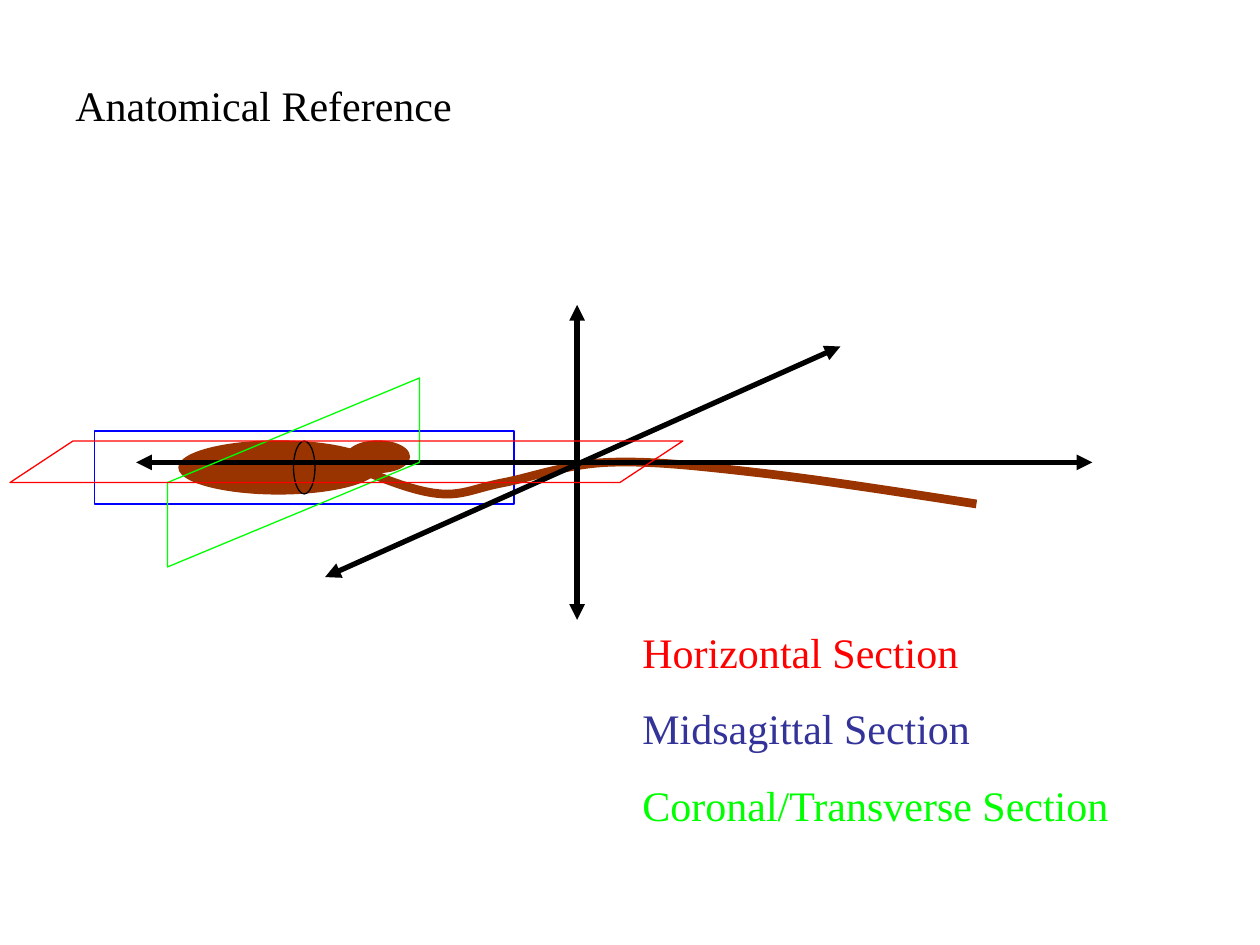
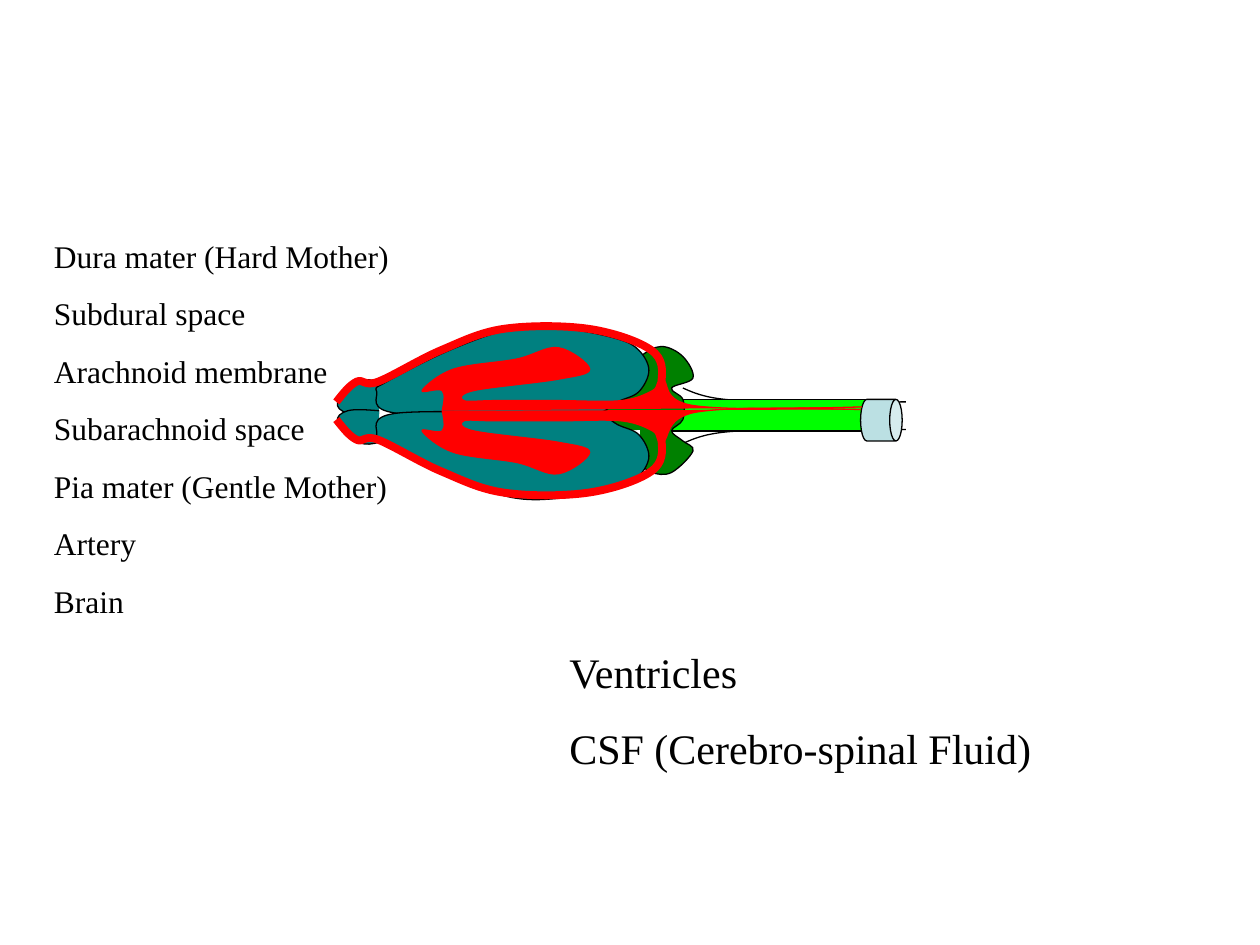
from pptx import Presentation
from pptx import util as u
from pptx.dml.color import RGBColor
from pptx.enum import shapes, text
from pptx.oxml.ns import qn
from pptx.oxml.xmlchemy import OxmlElement

# Shared look; all coordinates below are inches, turned into Cm by cm()
FONT = "Times New Roman"
BLACK, WHITE, RED, BLUE, LIME = "000000", "FFFFFF", "FF0000", "0000FF", "00FF00"
BROWN, TEAL, GREEN, PALE = "993300", "008080", "008000", "BBE0E3"
THIN = 0.75
OVAL, RECT, CAN = (shapes.MSO_SHAPE.OVAL, shapes.MSO_SHAPE.RECTANGLE,
                   shapes.MSO_SHAPE.CAN)

# Slide 1: the animal, its axes and the section planes
TITLE = [("Anatomical Reference", BLACK)]
SECTIONS = [("Horizontal Section", RED), ("Midsagittal Section", "333399"),
            ("Coronal/Transverse Section", LIME)]
BODY = (1.42, 3.5, 1.58, 0.42)
HEAD = (2.75, 3.5, 0.5, 0.25)
TAIL = [(2.92, 3.75), (3.5, 3.92), (4, 3.83), (4.83, 3.67), (6, 3.75), (7.75, 4)]
AXES = [(4.58, 2.42, 4.58, 4.92), (2.58, 4.58, 6.67, 2.75), (1.08, 3.67, 8.67, 3.67)]
MIDSAGITTAL = (0.75, 3.42, 3.33, 0.58)
SLICE = (2.33, 3.5, 0.17, 0.42)
CORONAL = [(1.33, 3.83), (3.33, 3), (3.33, 3.67), (1.33, 4.5)]
HORIZONTAL = [(0.58, 3.5), (0.08, 3.83), (4.92, 3.83), (5.42, 3.5)]

# Slide 2: the brain from above; upper halves are mirrored to give lower ones
LAYERS = ["Dura mater (Hard Mother)", "Subdural space", "Arachnoid membrane",
          "Subarachnoid space", "Pia mater (Gentle Mother)", "Artery", "Brain"]
FLUID = ["Ventricles", "CSF (Cerebro-spinal Fluid)"]
NERVE = [(5.42, 3.08), (5.75, 3.17), (6.43, 3.19), (7.19, 3.19)]
CORD = (5.33, 3.17, 1.67, 0.25)
BULB = [(3.01, 3.28), (2.76, 3.28), (2.68, 3.19), (2.85, 3.03), (3.01, 3.03)]
CEREBELLUM = [(5.08, 2.83), (5.25, 2.75), (5.42, 2.83), (5.5, 3), (5.33, 3.08),
              (5.42, 3.17), (5.42, 3.33), (5.33, 3.42), (5.42, 3.5), (5.5, 3.58),
              (5.33, 3.75), (5.17, 3.75), (5.08, 3.67)]
STEM = (4.58, 3.08, 0.83, 0.33)
HEMISPHERE = [(3.15, 3.28), (4.4, 3.28), (4.74, 3.28), (4.9, 3.19), (5.07, 3.11),
              (5.15, 2.94), (5.07, 2.78), (4.9, 2.69), (4.49, 2.61), (4.07, 2.61),
              (3.57, 2.78), (3.07, 3.03), (2.99, 3.11)]
CORD_END = (6.83, 3.17, 0.33, 0.33)
VENTRICLE = [(3.51, 3.26), (3.51, 3.1), (3.35, 3.1), (3.6, 2.93), (4.1, 2.85),
             (4.43, 2.76), (4.68, 2.93), (4.43, 3.01), (3.76, 3.1), (3.68, 3.18),
             (3.93, 3.18), (4.43, 3.18), (4.93, 3.18), (5.18, 3.1), (5.26, 3.01)]
CANAL_UPPER = [(5.51, 3.22), (6.84, 3.23)]
CANAL_LOWER = [(5.53, 3.27), (6.83, 3.25)]
DURA = [(2.67, 3.19), (2.83, 3.03), (3, 3.03), (3.5, 2.78), (4, 2.61), (4.67, 2.61),
        (5.17, 2.78), (5.25, 3.03)]


def cm(inches):
    return u.Cm(inches * 2.54)


def rgb(color):
    return RGBColor.from_string(color)


def mirror(points, axis):
    return [(x, 2 * axis - y) for x, y in points]


def style(sp, fill, line, width=THIN):
    sp.shadow.inherit = False
    if fill:
        sp.fill.solid()
        sp.fill.fore_color.rgb = rgb(fill)
    else:
        sp.fill.background()
    sp.line.color.rgb = rgb(line)
    sp.line.width = u.Pt(width)
    return sp


def add_preset(s, kind, box, fill, line):
    return style(s.shapes.add_shape(kind, *map(cm, box)), fill, line)


def add_outline(s, points, fill, line, width=THIN, close=False):
    (x, y), *rest = [(cm(px), cm(py)) for px, py in points]
    builder = s.shapes.build_freeform(x, y)
    builder.add_line_segments(rest, close=close)
    return style(builder.convert_to_shape(), fill, line, width)


def add_curve(s, knots, fill, line, width=THIN, close=False):
    """Smooth Bezier curve through the knots (Catmull-Rom tangents)."""
    n = len(knots)
    segments = n if close else n - 1

    def control(i, sign):
        (ax, ay), (x, y), (bx, by) = knots[i - 1], knots[i], knots[(i + 1) % n]
        return x + sign * (bx - ax) / 6, y + sign * (by - ay) / 6

    def midpoint(a, b):
        return (a[0] + b[0]) / 2, (a[1] + b[1]) / 2

    points = [knots[0]]
    for i in range(segments):
        j = (i + 1) % n
        out, into = control(i, 1), control(j, -1)
        if not close and i == 0:
            out = midpoint(knots[i], into)
        if not close and j == n - 1:
            into = midpoint(out, knots[j])
        points += [out, into, knots[j]]
    sp = add_outline(s, points, fill, line, width, close)

    # Every three straight steps become one cubic segment
    steps = list(sp._element.iter(qn("a:lnTo")))
    for k in range(0, len(steps), 3):
        cubic = OxmlElement("a:cubicBezTo")
        steps[k].addprevious(cubic)
        for step in steps[k:k + 3]:
            cubic.append(step[0])
            step.getparent().remove(step)
    return sp


def add_axis(s, ends):
    axis = s.shapes.add_connector(shapes.MSO_CONNECTOR.STRAIGHT, *map(cm, ends))
    axis.line.color.rgb = rgb(BLACK)
    axis.line.width = u.Pt(3)
    for tag in ("a:headEnd", "a:tailEnd"):
        arrow = OxmlElement(tag)
        arrow.set("type", "triangle")
        axis.line._get_or_add_ln().append(arrow)
    axis._element.spPr.append(OxmlElement("a:effectLst"))


def add_text(s, box, lines, size=24):
    tf = s.shapes.add_textbox(*map(cm, box)).text_frame
    tf.word_wrap = True
    tf.auto_size = text.MSO_AUTO_SIZE.SHAPE_TO_FIT_TEXT
    for i, (words, color) in enumerate(lines):
        p = tf.add_paragraph() if i else tf.paragraphs[0]
        p.text = words
        p.space_before = u.Pt(size * 0.625 if i else 0)
        r = p.runs[0]
        r.font.name, r.font.size = FONT, u.Pt(size)
        r.font.color.rgb = rgb(color)


def build_reference(s):
    # Midsagittal plane, see-through white
    plane = add_preset(s, RECT, MIDSAGITTAL, WHITE, BLUE)
    alpha = OxmlElement("a:alpha")
    alpha.set("val", "53000")
    plane._element.spPr.find(qn("a:solidFill"))[0].append(alpha)
    add_text(s, (0.5, 0.58, 5.17, 0.5), TITLE)

    # Animal
    for box in (BODY, HEAD):
        add_preset(s, OVAL, box, BROWN, BROWN)
    add_curve(s, TAIL, None, BROWN, 5)

    # Axes and the other planes
    for ends in AXES:
        add_axis(s, ends)
    add_preset(s, OVAL, SLICE, None, BLACK)
    add_outline(s, CORONAL, None, LIME, close=True)
    add_outline(s, HORIZONTAL, None, RED, close=True)
    add_text(s, (5, 4.92, 4.25, 1.72), SECTIONS)


def build_brain(s):
    def add_pair(knots, axis, *look, close=False):
        for half in (knots, mirror(knots, axis)):
            add_curve(s, half, *look, close=close)

    # Cord, brain stem and hemispheres
    add_pair(NERVE, 3.3, None, BLACK)
    add_preset(s, RECT, CORD, LIME, BLACK)
    add_pair(BULB, 3.27, TEAL, BLACK)
    add_curve(s, CEREBELLUM, GREEN, BLACK)
    add_preset(s, OVAL, STEM, GREEN, GREEN)
    add_pair(HEMISPHERE, 3.28, TEAL, BLACK, close=True)
    end = add_preset(s, CAN, CORD_END, PALE, BLACK)
    end.rotation = 90
    end.adjustments[0] = 0.3

    # Ventricles with the central canal, then the dura
    add_curve(s, mirror(VENTRICLE, 3.26) + CANAL_LOWER, RED, RED)
    add_curve(s, VENTRICLE + CANAL_UPPER, RED, RED)
    add_pair(DURA, 3.26, None, RED, 4.5)

    # Labels
    add_text(s, (4.42, 5.08, 4.67, 1.11), [(words, BLACK) for words in FLUID])
    add_text(s, (0.33, 1.83, 3, 3.14), [(words, BLACK) for words in LAYERS], 18)


def main():
    prs = Presentation()
    prs.slide_width, prs.slide_height = cm(10), cm(7.5)
    for build in (build_reference, build_brain):
        build(prs.slides.add_slide(prs.slide_layouts[6]))
    prs.save("out.pptx")


if __name__ == "__main__":
    main()
